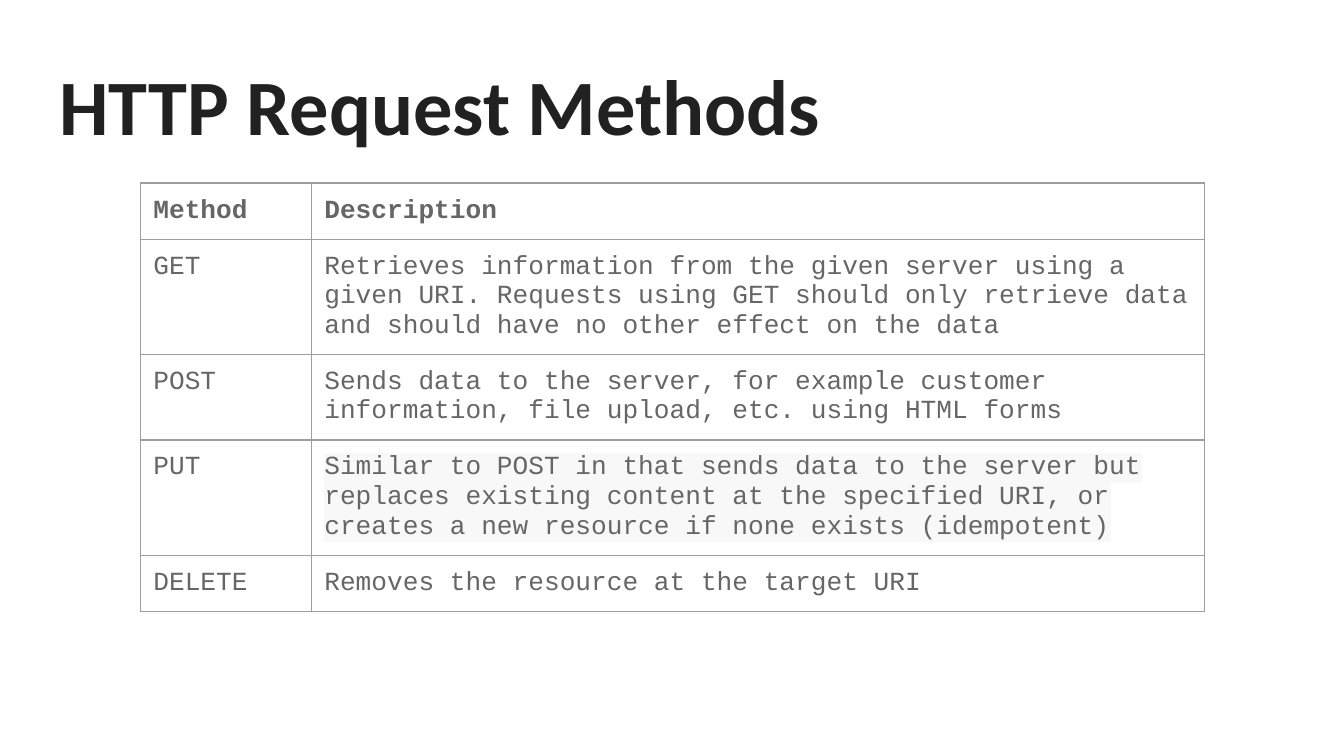
from lxml import etree
from pptx import Presentation
from pptx import util as u
from pptx.dml.color import RGBColor
from pptx.enum import text
from pptx.oxml.ns import qn

COLORS = {
    "title": "212121",
    "body": "666666",
    "border": "9E9E9E",
    "white": "FFFFFF",
    "mark": "F8F8F8",
}

METHODS = [
    ("GET", "Retrieves information from the given server using a given URI. "
            "Requests using GET should only retrieve data and should have "
            "no other effect on the data", "white"),
    ("POST", "Sends data to the server, for example customer information, "
             "file upload, etc. using HTML forms", "white"),
    ("PUT", "Similar to POST in that sends data to the server but replaces "
            "existing content at the specified URI, or creates a new resource "
            "if none exists (idempotent)", "mark"),
    ("DELETE", "Removes the resource at the target URI", "white"),
]


def add_solid_fill(parent, color):
    fill = etree.SubElement(parent, qn("a:solidFill"))
    etree.SubElement(fill, qn("a:srgbClr"), val=COLORS[color])


def write_text(frame, content, font, size, color, bold=False, highlight=None):
    paragraph = frame.paragraphs[0]
    paragraph.alignment = text.PP_ALIGN.LEFT
    run = paragraph.add_run()
    run.text = content
    run.font.name = font
    run.font.size = u.Pt(size)
    run.font.bold = bold
    run.font.color.rgb = RGBColor.from_string(COLORS[color])
    if highlight:
        mark = etree.Element(qn("a:highlight"))
        etree.SubElement(mark, qn("a:srgbClr"), val=COLORS[highlight])
        run.font._element.find(qn("a:solidFill")).addnext(mark)


class SlideBuilder:
    title_font = "Calibri"
    body_font = "Courier New"
    inset = u.Cm(0.25)

    def __init__(self, presentation):
        self.slide = presentation.slides.add_slide(presentation.slide_layouts[5])
        background = self.slide.background.fill
        background.solid()
        background.fore_color.rgb = RGBColor.from_string(COLORS["white"])

    def set_margins(self, target):
        target.margin_left = target.margin_right = self.inset
        target.margin_top = target.margin_bottom = self.inset

    def title(self, content, left, top, width, height):
        shape = self.slide.shapes.title
        shape.left, shape.top = u.Cm(left), u.Cm(top)
        shape.width, shape.height = u.Cm(width), u.Cm(height)
        frame = shape.text_frame
        frame.word_wrap = True
        frame.auto_size = text.MSO_AUTO_SIZE.NONE
        frame.vertical_anchor = text.MSO_ANCHOR.TOP
        self.set_margins(frame)
        write_text(frame, content, self.title_font, 42, "title", bold=True)

    def table(self, rows, left, top, widths, row_height):
        shape = self.slide.shapes.add_table(
            len(rows), len(widths), u.Cm(left), u.Cm(top),
            u.Cm(sum(widths)), u.Cm(row_height * len(rows)))
        table = shape.table
        table.first_row = table.horz_banding = False
        for column, width in zip(table.columns, widths):
            column.width = u.Cm(width)
        for row_index, row in enumerate(rows):
            for column_index, (content, style) in enumerate(row):
                self.cell(table.cell(row_index, column_index), content, **style)

    def cell(self, cell, content, **style):
        self.set_margins(cell)
        cell.vertical_anchor = text.MSO_ANCHOR.TOP
        write_text(cell.text_frame, content, self.body_font, 14, "body", **style)
        properties = cell._tc.get_or_add_tcPr()
        for side in ("lnL", "lnR", "lnT", "lnB"):
            line = etree.SubElement(properties, qn("a:" + side), w=str(u.Pt(0.75)))
            add_solid_fill(line, "border")
        etree.SubElement(properties, qn("a:noFill"))


def main():
    presentation = Presentation()
    presentation.slide_width = u.Cm(25.4)
    presentation.slide_height = u.Cm(14.29)

    header = [(name, {"bold": True}) for name in ("Method", "Description")]
    rows = [header] + [
        [(method, {}), (description, {"highlight": highlight})]
        for method, description, highlight in METHODS
    ]

    builder = SlideBuilder(presentation)
    builder.title("HTTP Request Methods", 0.87, 0.82, 23.67, 2.23)
    builder.table(rows, 2.65, 3.46, [3.23, 16.89], 1.06)
    presentation.save("out.pptx")


if __name__ == "__main__":
    main()
